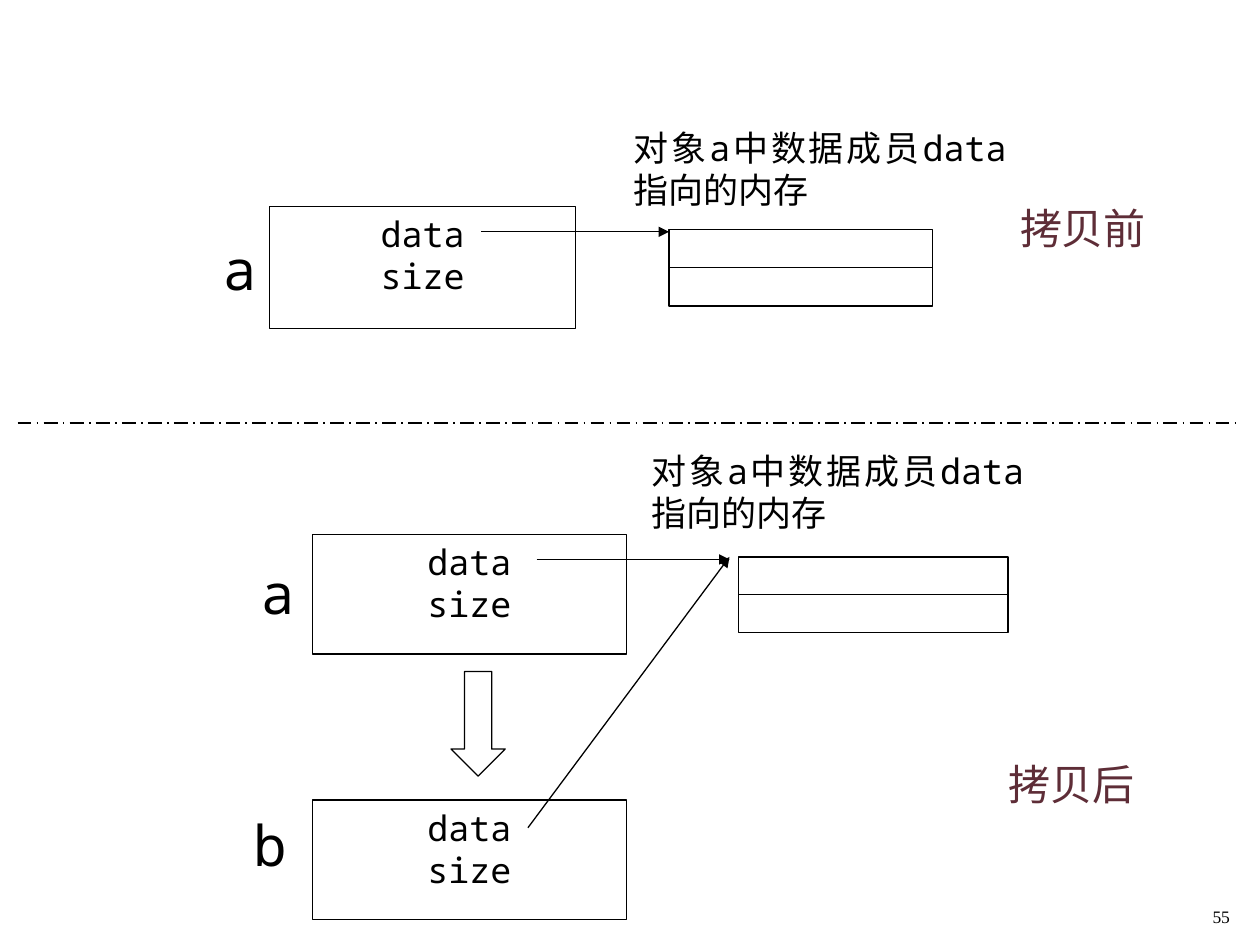
from dataclasses import dataclass

from lxml import etree
from pptx import Presentation
from pptx import util as u
from pptx.dml.color import RGBColor
from pptx.enum import dml, shapes, text
from pptx.oxml.ns import qn


@dataclass(frozen=True)
class Theme:
    ink: RGBColor = RGBColor(0x00, 0x00, 0x00)
    accent: RGBColor = RGBColor(0x5E, 0x2D, 0x37)
    mono: str = "Noto Sans Mono"
    serif: str = "Times New Roman"
    number: int = 10
    body: int = 20
    stage: int = 24
    name: int = 32
    thin: float = 0.75
    divider: float = 1


THEME = Theme()
WIDTH, HEIGHT = 10, 7.5
ALIGN = text.PP_ALIGN

# Places are left, top, width, height in inches.
MEMBERS = ["data", "size"]
OBJECTS = [
    # name, place of the name, place of the member box
    ("a", (1.77, 1.86, 0.94, 0.55), (2.14, 1.64, 2.43, 0.97)),
    ("a", (2.07, 4.43, 0.94, 0.55), (2.48, 4.24, 2.49, 0.95)),
    ("b", (2.01, 6.43, 0.94, 0.55), (2.48, 6.35, 2.49, 0.95)),
]
MEMORY_CAPTION = "对象a中数据成员data指向的内存"
MEMORIES = [
    # place of the caption, place of the two-cell block
    ((5.03, 1, 2.96, 0.79), (5.31, 1.82, 2.09, 0.61)),
    ((5.17, 3.57, 2.96, 0.79), (5.86, 4.42, 2.14, 0.6)),
]
STAGES = [
    ("拷贝前", (7.55, 1.61, 2.09, 0.43)),
    ("拷贝后", (7.46, 6.02, 2.09, 0.43)),
]
POINTERS = [
    ((3.82, 1.84), (5.31, 1.84)),
    ((4.26, 4.44), (5.79, 4.44)),
    ((4.19, 6.57), (5.79, 4.42)),
]
COPY_ARROW = (3.58, 5.33, 0.43, 0.83)
DIVIDER = ((0.14, 3.36), (9.8, 3.36))
PAGE_NUMBER = ("55", (9.46, 7.01, 0.4, 0.4))


def inches(values):
    return [u.Inches(value) for value in values]


def write(frame, lines, size, align, font=THEME.mono, color=THEME.ink,
          insets=(0, 0), anchor=text.MSO_ANCHOR.TOP):
    """Fill a text frame; insets are the side and the top/bottom margins."""
    frame.word_wrap = True
    frame.vertical_anchor = anchor
    frame.margin_left = frame.margin_right = u.Inches(insets[0])
    frame.margin_top = frame.margin_bottom = u.Inches(insets[1])
    for index, line in enumerate(lines):
        paragraph = frame.paragraphs[0] if index == 0 else frame.add_paragraph()
        paragraph.alignment = align
        run = paragraph.add_run()
        run.text = line
        run.font.size = u.Pt(size)
        run.font.name = font
        run.font.color.rgb = color


def add_label(slide, words, place, size, align, **style):
    box = slide.shapes.add_textbox(*inches(place))
    write(box.text_frame, [words], size, align, **style)


def add_outline(parent, kind, place):
    outline = parent.shapes.add_shape(kind, *inches(place))
    outline.shadow.inherit = False
    outline.fill.background()
    outline.line.color.rgb = THEME.ink
    outline.line.width = u.Pt(THEME.thin)
    return outline


def add_line(parent, start, end, width=THEME.thin, arrow=False):
    line = parent.shapes.add_connector(
        shapes.MSO_CONNECTOR.STRAIGHT, *inches(start + end))
    line.line.color.rgb = THEME.ink
    line.line.width = u.Pt(width)
    properties = line._element.spPr
    if arrow:
        etree.SubElement(properties.find(qn("a:ln")), qn("a:tailEnd"),
                         type="triangle")
    etree.SubElement(properties, qn("a:effectLst"))
    return line


def add_memory(slide, place):
    """Draw a block split into two cells by a line joined to its sides."""
    group = slide.shapes.add_group_shape()
    block = add_outline(group, shapes.MSO_SHAPE.RECTANGLE, place)
    left, top, width, height = place
    middle = top + height / 2
    split = add_line(group, (left, middle), (left + width, middle))
    split.begin_connect(block, 1)
    split.end_connect(block, 3)


def main():
    deck = Presentation()
    deck.slide_width, deck.slide_height = inches((WIDTH, HEIGHT))
    slide = deck.slides.add_slide(deck.slide_layouts[6])

    number, place = PAGE_NUMBER
    add_label(slide, number, place, THEME.number, ALIGN.RIGHT,
              font=THEME.serif, insets=(0.1, 0.05),
              anchor=text.MSO_ANCHOR.BOTTOM)

    for stage, place in STAGES:
        add_label(slide, stage, place, THEME.stage, ALIGN.CENTER,
                  font=THEME.serif, color=THEME.accent, insets=(0.1, 0))

    for caption_place, block_place in MEMORIES:
        add_memory(slide, block_place)
        add_label(slide, MEMORY_CAPTION, caption_place, THEME.body,
                  ALIGN.JUSTIFY)

    for name, name_place, box_place in OBJECTS:
        box = add_outline(slide, shapes.MSO_SHAPE.RECTANGLE, box_place)
        write(box.text_frame, MEMBERS, THEME.body, ALIGN.CENTER,
              insets=(0, 0.05))
        add_label(slide, name, name_place, THEME.name, ALIGN.JUSTIFY)

    for start, end in POINTERS:
        add_line(slide, start, end, arrow=True)

    add_outline(slide, shapes.MSO_SHAPE.DOWN_ARROW, COPY_ARROW)
    divider = add_line(slide, *DIVIDER, width=THEME.divider)
    divider.line.dash_style = dml.MSO_LINE.LONG_DASH_DOT

    deck.save("out.pptx")


if __name__ == "__main__":
    main()
